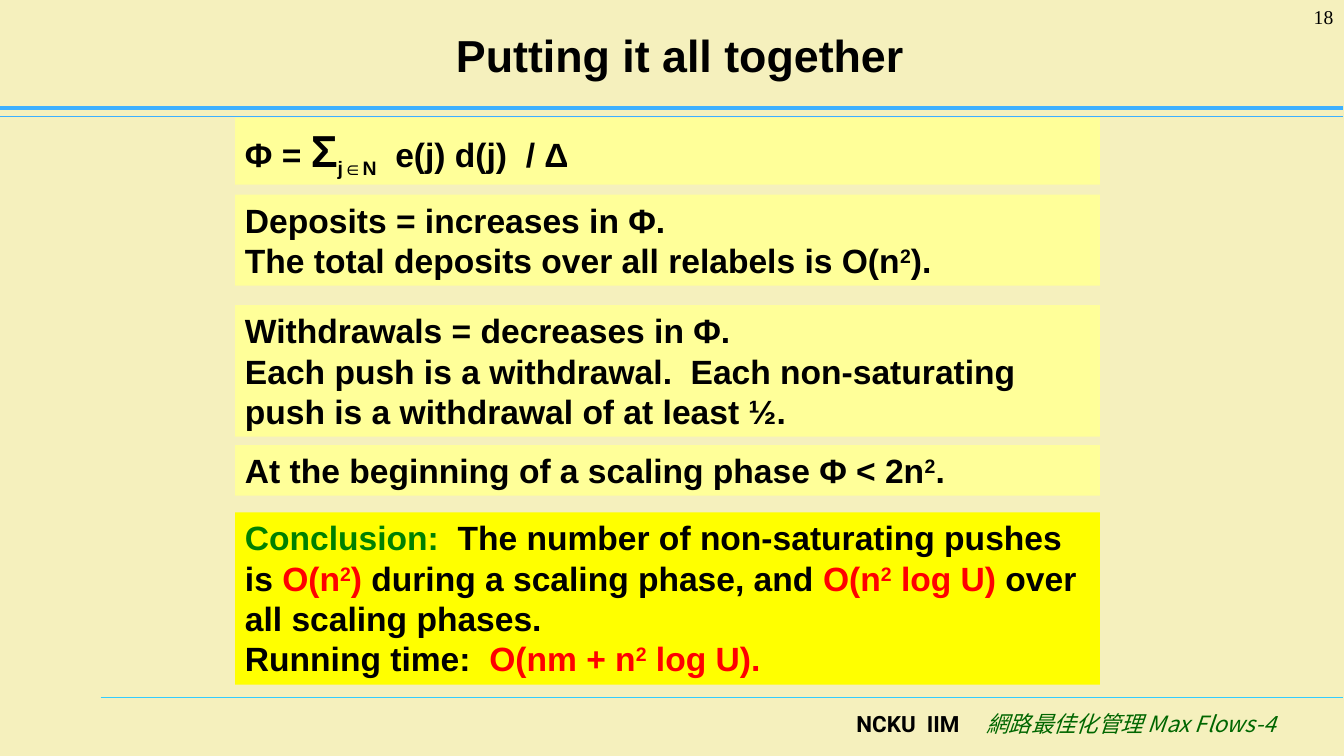
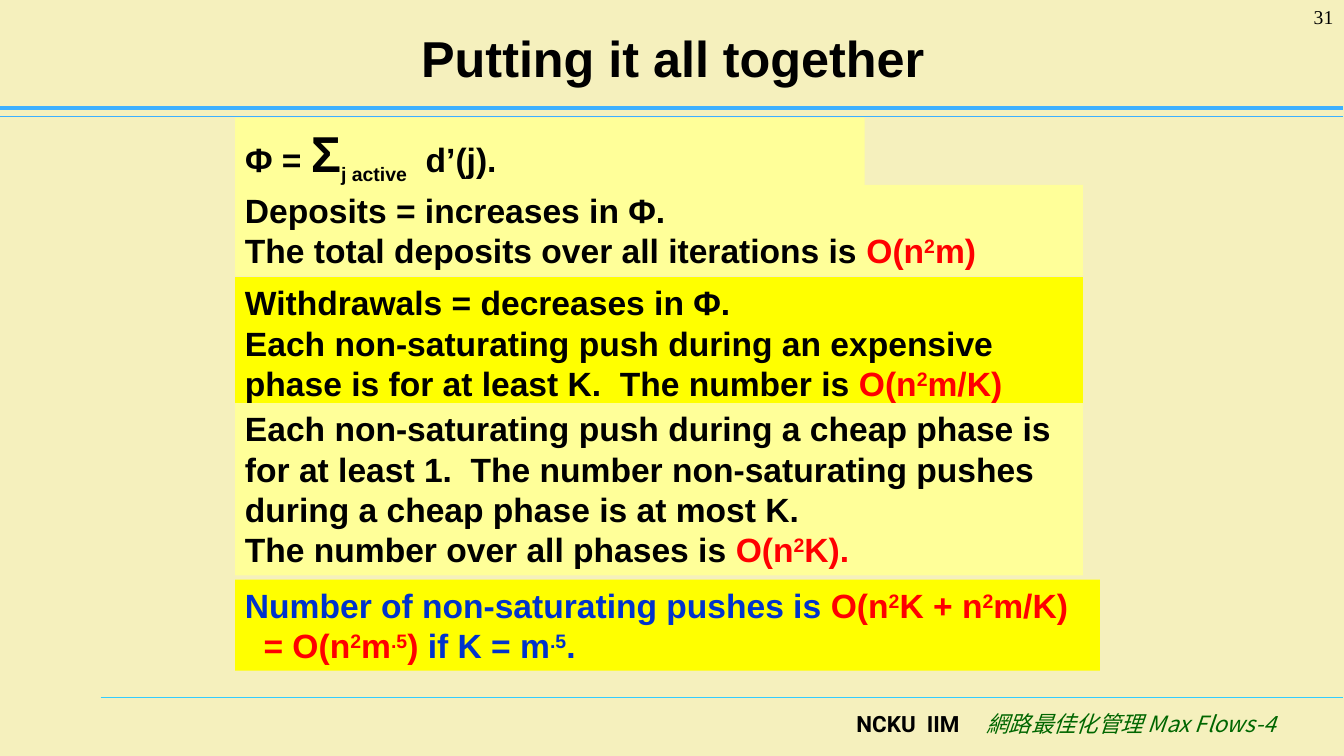
import pptx
import pptx.dml.color
import pptx.enum.shapes
import pptx.enum.text
import pptx.oxml.ns
import pptx.util
from lxml import etree

Pt = pptx.util.Pt
ALIGN = pptx.enum.text.PP_ALIGN
ANCHOR = pptx.enum.text.MSO_ANCHOR
qn = pptx.oxml.ns.qn

COLORS = {
    "background": "F5F0BD", "pale": "FFFF99", "yellow": "FFFF00",
    "rule": "3DB0FF", "footer_rule": "33CCFF", "course": "006600",
    "black": "000000", "red": "FF0000", "green": "008000", "blue": "0033CC",
}
LINE_HEIGHT = 29
PANEL_PADDING = 7


def color(name):
    return pptx.dml.color.RGBColor.from_string(COLORS[name])


def span(text, **style):
    """Text with its format; parts between bars are raised."""
    return text, style


class Deck:
    """Holds the shared style and the current slide."""

    def __init__(self):
        self.deck = pptx.Presentation()
        self.deck.slide_width, self.deck.slide_height = Pt(960.48), Pt(540)
        self.layout = self.deck.slide_layouts[6]
        fill = self.deck.slide_master.background.fill
        fill.solid()
        fill.fore_color.rgb = color("background")
        self.page = None

    def new_page(self, number, title, title_box, title_size):
        self.page = self.deck.slides.add_slide(self.layout)
        if len(self.deck.slides) == 1:
            self.frame()
        self.textbox(title_box, [[span(title, size=title_size)]],
                     align=ALIGN.CENTER, anchor=ANCHOR.MIDDLE)
        self.textbox((880, 0, 80, 36),
                     [[span(number, size=14, font="Times New Roman", bold=False)]],
                     align=ALIGN.RIGHT)

    def frame(self):
        """Rules and footer, placed on the layout so every slide shows them."""
        parts = [
            self.line(72, 498, "footer_rule", 0.75),
            self.line(0, 83.5, "rule", 0.75),
            self.line(0, 77, "rule", 2.5),
            self.textbox((176, 504, 746, 36), [[
                span("\tNCKU  IIM", size=16, font="Roboto"),
                span("\t網路最佳化管理 Max Flows-4", size=16, font="Noto Sans CJK SC",
                     bold=False, italic=True, ink="course")]],
                tabs=(429, 522), right_inset=0),
        ]
        for holder in list(self.layout.placeholders):
            self.layout.shapes.element.remove(holder.element)
        for part in parts:
            self.layout.shapes.element.append(part.element)

    def line(self, left, top, ink, width):
        line = self.page.shapes.add_connector(
            pptx.enum.shapes.MSO_CONNECTOR.STRAIGHT, Pt(left), Pt(top), Pt(960), Pt(top))
        line.line.color.rgb = color(ink)
        line.line.width = Pt(width)
        etree.SubElement(line.element.spPr, qn("a:effectLst"))
        return line

    def textbox(self, place, paragraphs, **style):
        box = self.page.shapes.add_textbox(*map(Pt, place))
        self.fill_text(box, paragraphs, **style)
        return box

    def panel(self, top, paragraphs, lines=1, height=None, width=618, fill="pale"):
        height = height or PANEL_PADDING + LINE_HEIGHT * lines
        box = self.page.shapes.add_shape(
            pptx.enum.shapes.MSO_SHAPE.RECTANGLE, Pt(168), Pt(top), Pt(width), Pt(height))
        box.shadow.inherit = False
        box.fill.solid()
        box.fill.fore_color.rgb = color(fill)
        box.line.fill.background()
        self.fill_text(box, paragraphs)

    def fill_text(self, box, paragraphs, align=ALIGN.LEFT, anchor=ANCHOR.TOP,
                  tabs=(), right_inset=7.2):
        frame = box.text_frame
        frame.word_wrap = True
        frame.vertical_anchor = anchor
        frame.margin_left, frame.margin_right = Pt(7.2), Pt(right_inset)
        frame.margin_top = frame.margin_bottom = Pt(3.6)
        for index, spans in enumerate(paragraphs):
            para = frame.add_paragraph() if index else frame.paragraphs[0]
            para.alignment = align
            properties = para._p.get_or_add_pPr()
            if tabs:
                stops = etree.SubElement(properties, qn("a:tabLst"))
                for stop in tabs:
                    etree.SubElement(stops, qn("a:tab"), pos=str(Pt(stop)), algn="l")
            for text, style in spans:
                style = dict(style)
                indent = style.pop("indent", 0)
                if indent:
                    properties.set("marL", str(Pt(indent)))
                    properties.set("indent", "0")
                for position, piece in enumerate(text.split("|")):
                    if piece:
                        raised = {"shift": 30} if position % 2 else {}
                        self.add_text(para, piece, **{**style, **raised})

    def add_text(self, para, text, size=24, font="Arial", ink="black",
                 bold=True, italic=False, shift=0):
        run = para.add_run()
        run.text = text
        run.font.size, run.font.name = Pt(size), font
        run.font.bold, run.font.italic = bold, italic
        run.font.color.rgb = color(ink)
        properties = run._r.get_or_add_rPr()
        etree.SubElement(properties, qn("a:ea"), typeface=font)
        if shift:
            properties.set("baseline", str(shift * 1000))


def main():
    show = Deck()
    title = "Putting it all together"
    deposits = [span("Deposits = increases in Φ.")]
    withdrawals = [span("Withdrawals = decreases in Φ.")]

    # Scaling phases
    show.new_page("18", title, (150, 24, 672, 30), 32)
    show.panel(84, [[span("Φ = "), span("Σ", size=32), span("j∈N", shift=-25),
                     span("  e(j) d(j)  / Δ")]], height=48)
    show.panel(139, [deposits,
                     [span("The total deposits over all relabels is O(n|2|).")]], lines=2)
    show.panel(218, [withdrawals,
                     [span("Each push is a withdrawal.  Each non-saturating push "
                           "is a withdrawal of at least ½.")]], lines=3)
    show.panel(318, [[span("At the beginning of a scaling phase Φ < 2n|2|.")]])
    show.panel(366, [
        [span("Conclusion:", ink="green"),
         span("  The number of non-saturating pushes is "), span("O(n|2|)", ink="red"),
         span(" during a scaling phase, and "), span("O(n|2| log U)", ink="red"),
         span(" over all scaling phases.")],
        [span("Running time:  "), span("O(nm + n|2| log U).", ink="red")],
    ], lines=4, fill="yellow")

    # Cheap and expensive phases
    show.new_page("31", title, (49, 9.5, 864, 62.5), 36)
    show.panel(84, [[span("Φ = "), span("Σ", size=36), span("j active", shift=-25),
                     span("  d’(j).")]], height=52, width=450)
    show.panel(132, [deposits,
                     [span("The total deposits over all iterations is "),
                      span("O(n|2|m)", ink="red")]], lines=2, width=606)
    show.panel(198, [withdrawals,
                     [span("Each non-saturating push during an expensive phase is "
                           "for at least K.  The number is "),
                      span("O(n|2|m/K)", ink="red")]], lines=3, width=606, fill="yellow")
    show.panel(288, [
        [span("Each non-saturating push during a cheap phase is for at least 1.  "
              "The number non-saturating pushes during a cheap phase is at most K.")],
        [span("The number over all phases is "), span("O(n|2|K).", ink="red")],
    ], lines=4, width=606)
    show.panel(414, [
        [span("Number of non-saturating pushes is ", ink="blue"),
         span("O(n|2|K + n|2|m/K)", ink="red")],
        [span("= O(n|2|m|.5|)", ink="red", indent=13.3),
         span(" if K = m|.5|.", ink="blue")],
    ], lines=2, fill="yellow")

    show.deck.save("out.pptx")


if __name__ == "__main__":
    main()
